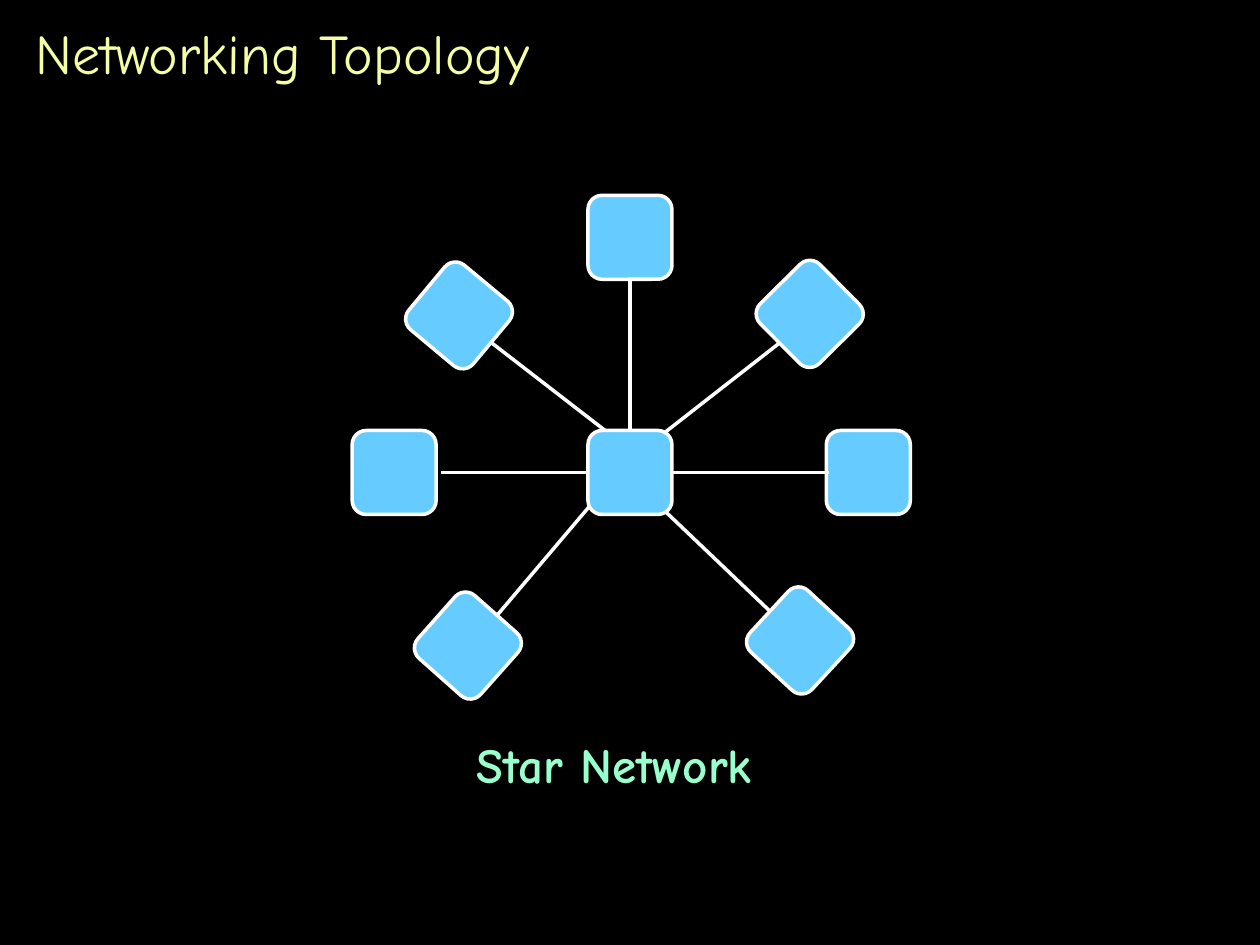
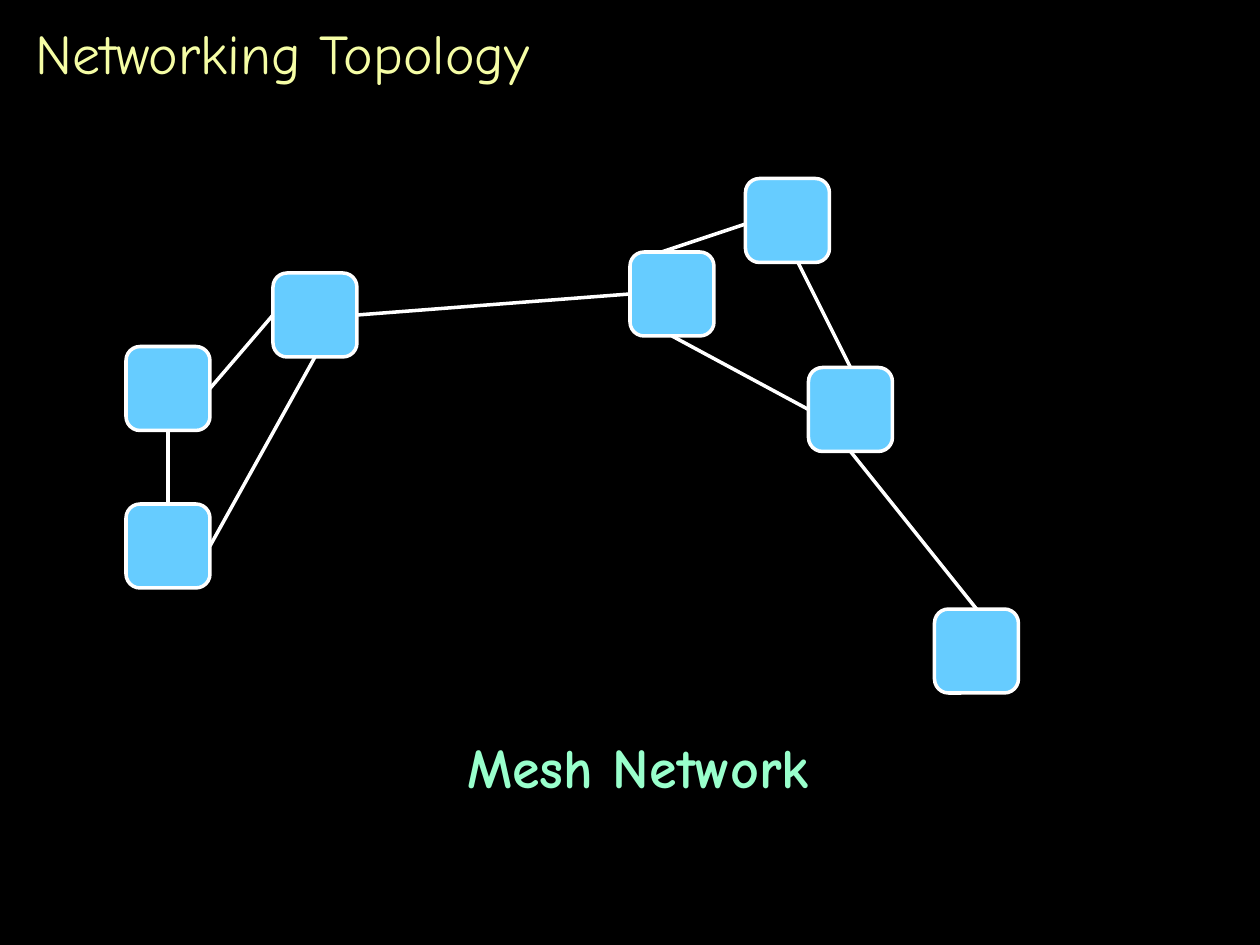
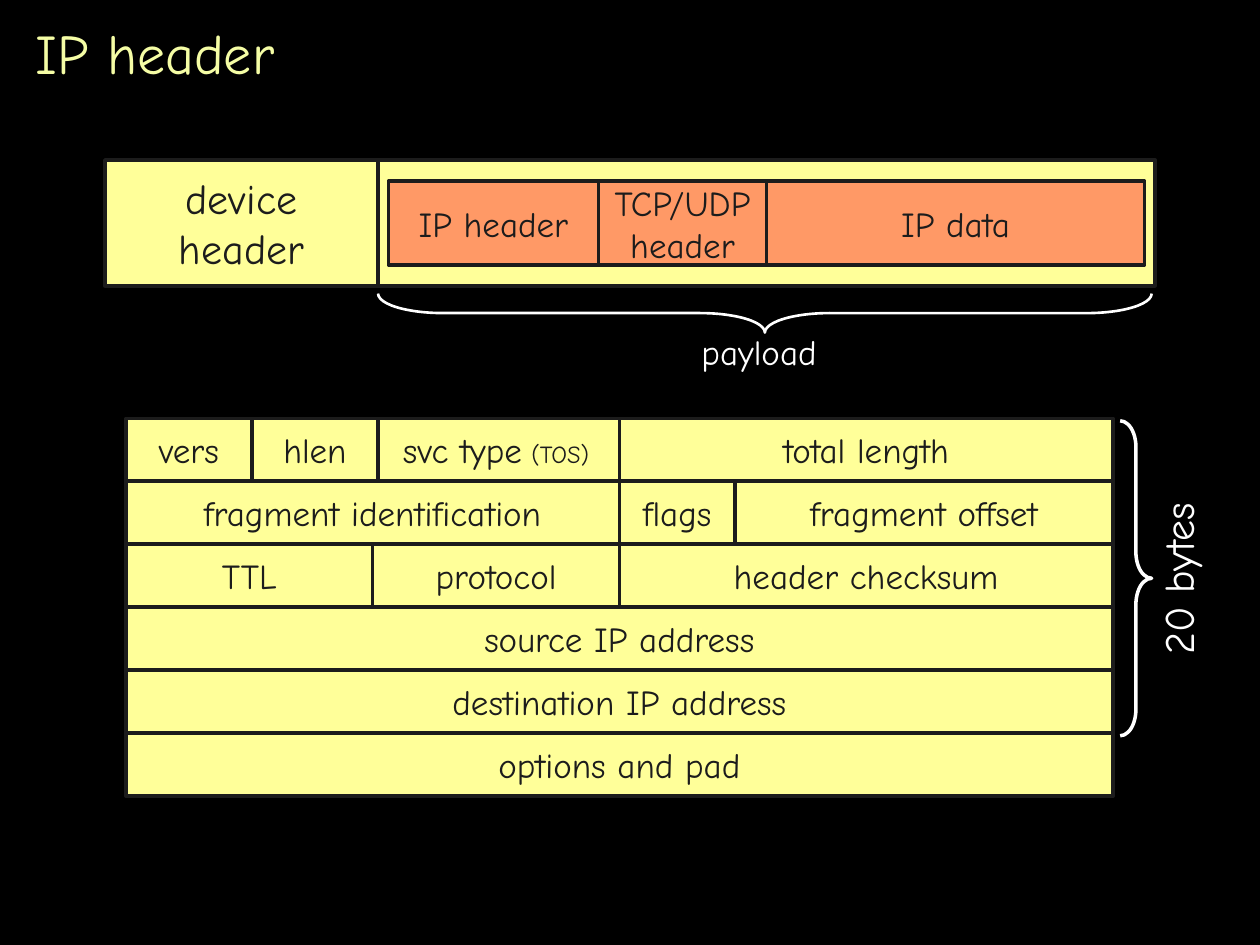
from lxml import etree
from pptx import Presentation
from pptx import util as u
from pptx.dml.color import RGBColor
from pptx.enum import shapes, text
from pptx.oxml import ns

BLACK = RGBColor(0x00, 0x00, 0x00)
WHITE = RGBColor(0xFF, 0xFF, 0xFF)
INK = RGBColor(0x1C, 0x1C, 0x1C)
TITLE = RGBColor(0xF5, 0xFD, 0xA5)
MINT = RGBColor(0x99, 0xFF, 0xCC)
SKY = RGBColor(0x66, 0xCC, 0xFF)
YELLOW = RGBColor(0xFF, 0xFF, 0x99)
ORANGE = RGBColor(0xFF, 0x99, 0x66)

FONT = "Comic Neue"
COLUMNS = 120
NODE = 8
TOP, LEFT, BOTTOM, RIGHT = range(4)
PRESET = shapes.MSO_SHAPE


class Sketch:
    def __init__(self):
        self.deck = Presentation()
        self.deck.slide_width = u.Inches(10)
        self.deck.slide_height = u.Inches(7.5)
        fill = self.deck.slide_master.background.fill
        fill.solid()
        fill.fore_color.rgb = BLACK
        self.page = None

    def grid(self, *cells):
        return [round(cell * self.deck.slide_width / COLUMNS) for cell in cells]

    def style(self, frame, size, color, bold=False, align=text.PP_ALIGN.CENTER):
        for para in frame.paragraphs:
            para.alignment = align
            for span in para.runs:
                span.font.name = FONT
                span.font.size = u.Pt(size)
                span.font.bold = bold
                span.font.color.rgb = color

    def new_page(self, title):
        self.page = self.deck.slides.add_slide(self.deck.slide_layouts[5])
        box = self.page.shapes.title
        box.left, box.top, box.width, box.height = self.grid(2.16, 0.96, 116, 8)
        frame = box.text_frame
        frame.text = title
        frame.vertical_anchor = text.MSO_ANCHOR.MIDDLE
        frame.auto_size = text.MSO_AUTO_SIZE.NONE
        self.style(frame, 32, TITLE, align=text.PP_ALIGN.LEFT)

    def shape(self, preset, place, fill=None, line=WHITE, weight=2, turn=0):
        box = self.page.shapes.add_shape(preset, *self.grid(*place))
        box.shadow.inherit = False
        box.rotation = turn
        if fill is None:
            box.fill.background()
        else:
            box.fill.solid()
            box.fill.fore_color.rgb = fill
        box.line.color.rgb = line
        box.line.width = u.Pt(weight)
        return box

    def node(self, left, top, turn=0):
        return self.shape(PRESET.ROUNDED_RECTANGLE, (left, top, NODE, NODE), SKY, turn=turn)

    def field(self, words, place, fill=YELLOW, size=20):
        box = self.shape(PRESET.RECTANGLE, place, fill, INK)
        frame = box.text_frame
        frame.text = words
        frame.word_wrap = False
        frame.vertical_anchor = text.MSO_ANCHOR.MIDDLE
        self.style(frame, size, INK)
        return box

    def suffix(self, box, words, size):
        span = box.text_frame.paragraphs[0].add_run()
        span.text = words
        span.font.name = FONT
        span.font.size = u.Pt(size)
        span.font.color.rgb = INK

    def brace(self, place, bend, weight=2, turn=0):
        box = self.shape(PRESET.RIGHT_BRACE, place, weight=weight, turn=turn)
        box.adjustments[0] = bend
        box.adjustments[1] = 0.5

    def label(self, words, place, size, color=WHITE, bold=False,
              align=text.PP_ALIGN.CENTER, turn=0):
        box = self.page.shapes.add_textbox(*self.grid(*place))
        box.rotation = turn
        frame = box.text_frame
        frame.text = words
        frame.word_wrap = False
        frame.auto_size = text.MSO_AUTO_SIZE.SHAPE_TO_FIT_TEXT
        self.style(frame, size, color, bold, align)

    def link(self, start, end):
        def point(place):
            return self.grid(*place) if isinstance(place[0], (int, float)) else None

        begin, finish = point(start), point(end)
        line = self.page.shapes.add_connector(
            shapes.MSO_CONNECTOR.STRAIGHT, *(begin or (0, 0)), *(finish or (0, 0)))
        if begin is None:
            line.begin_connect(*start)
        if finish is None:
            line.end_connect(*end)
        line.line.color.rgb = WHITE
        line.line.width = u.Pt(2)
        etree.SubElement(line._element.spPr, ns.qn("a:effectLst"))

    def to_front(self, box):
        self.page.shapes._spTree.append(box._element)


def star_page(sketch):
    sketch.new_page("Networking Topology")
    hub = sketch.node(56, 41)
    north = sketch.node(56, 18.6)
    sketch.node(33.54, 41)
    sketch.node(78.7, 41)
    spokes = [
        ((39.72, 26.04, 309.8), (46.8, 32.64), (57.84, 41.16)),
        ((73.12, 25.9, 45.3), (74.28, 32.64), (62.28, 42)),
        ((72.2, 57, 132.8), (73.32, 58.2), (63.12, 48.48)),
        ((40.56, 57.48, 221.6), (47.28, 58.68), (56.64, 47.64)),
    ]
    for place, outer, inner in spokes:
        sketch.node(*place)
        sketch.link(outer, inner)
    sketch.link((north, BOTTOM), (hub, TOP))
    sketch.link((42, 45), (hub, LEFT))
    sketch.link((79, 45), (hub, RIGHT))
    sketch.to_front(hub)
    sketch.label("Star Network", (44.16, 69.36, 28.68, 6.84), 28, MINT, True)


def mesh_page(sketch):
    sketch.new_page("Networking Topology")
    places = [(12, 48), (12, 33), (26, 26), (60, 24), (71, 17), (77, 35), (89, 58)]
    low, west, bridge, center, peak, east, tail = [sketch.node(*place) for place in places]
    links = [
        ((west, BOTTOM), (low, TOP)),
        ((west, RIGHT), (bridge, LEFT)),
        ((bridge, BOTTOM), (low, RIGHT)),
        ((bridge, RIGHT), (center, LEFT)),
        ((63, 24), (72, 21)),
        ((76, 25), (east, TOP)),
        ((center, BOTTOM), (east, LEFT)),
        ((east, BOTTOM), (tail, TOP)),
    ]
    for start, end in links:
        sketch.link(start, end)
    sketch.to_front(peak)
    sketch.label("Mesh Network", (42.78, 69.15, 36, 7.68), 32, MINT, True)


def header_page(sketch):
    sketch.new_page("IP header")
    sketch.field("device\vheader", (10, 15.24, 26, 12), size=24)
    sketch.shape(PRESET.RECTANGLE, (36, 15.24, 74, 12), YELLOW, INK)
    for words, left, width in [("IP header", 37, 20), ("IP data", 73, 36),
                               ("TCP/UDP\nheader", 57, 16)]:
        sketch.field(words, (left, 17.24, width, 8), ORANGE)
    sketch.brace((70.98, -7.02, 3.72, 73.68), 1.66, 1.5, 90)
    sketch.label("payload", (65.3, 30.84, 14, 5.28), 20)

    first, half, last = 12, 59, 106
    quarter = (first + half) / 2
    rows = [
        [("svc type", quarter, half), ("vers", first, 24), ("hlen", 24, 36),
         ("total length", half, last)],
        [("fragment identification", first, half), ("flags", half, 70),
         ("fragment offset", 70, last)],
        [("TTL", first, quarter), ("protocol", quarter, half),
         ("header checksum", half, last)],
        [("source IP address", first, last)],
        [("destination IP address", first, last)],
        [("options and pad", first, last)],
    ]
    height = 6
    for index, row in enumerate(rows):
        for words, left, right in row:
            box = sketch.field(words, (left, 39.84 + index * height, right - left, height))
            if words == "svc type":
                sketch.suffix(box, " ", 16)
                sketch.suffix(box, "(TOS)", 14)
    sketch.brace((106.68, 40.08, 3, 30), 0.83)
    sketch.label("20 bytes", (103.68, 52.08, 16.92, 6), 24,
                 align=text.PP_ALIGN.LEFT, turn=270)


def main():
    sketch = Sketch()
    star_page(sketch)
    mesh_page(sketch)
    header_page(sketch)
    sketch.deck.save("out.pptx")


if __name__ == "__main__":
    main()
